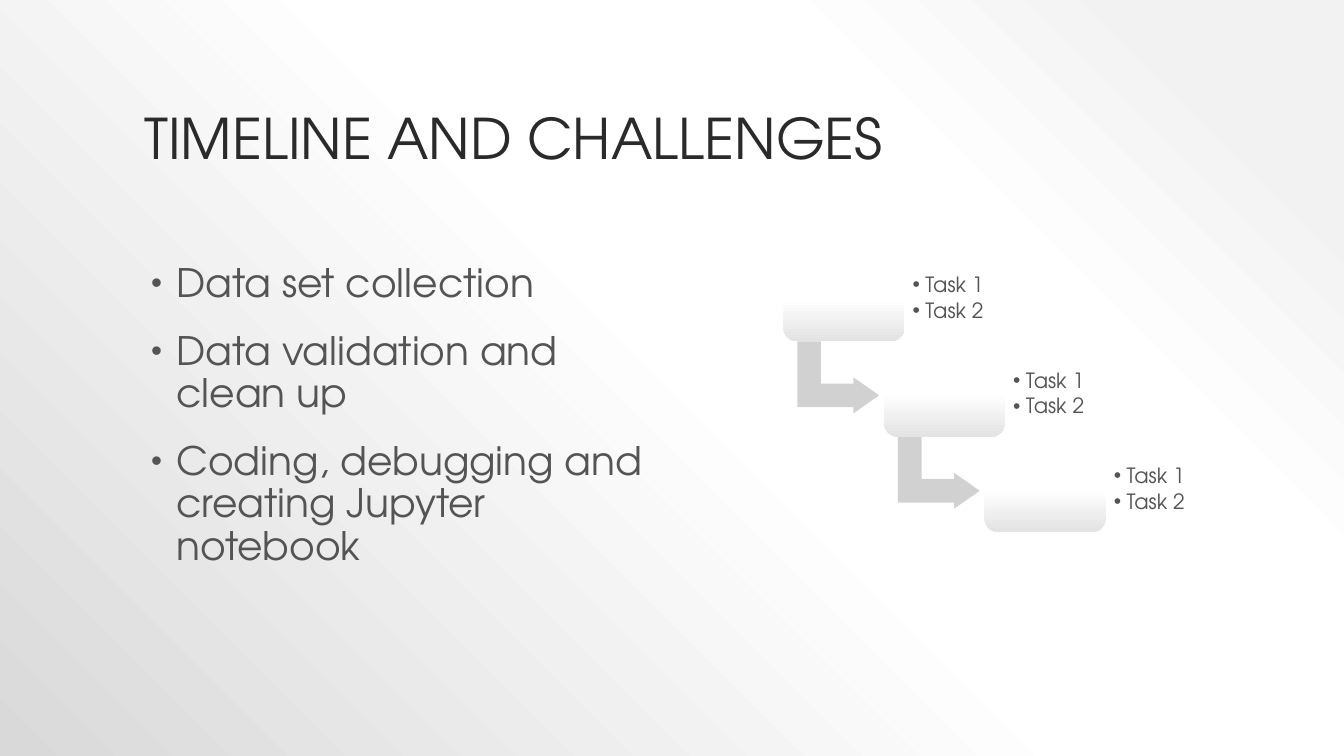
from lxml.etree import SubElement
from pptx import Presentation
from pptx.dml.color import RGBColor
from pptx.enum.shapes import MSO_SHAPE as Shape
from pptx.enum.text import MSO_ANCHOR as Anchor
from pptx.oxml import parse_xml
from pptx.oxml.ns import nsdecls, qn
from pptx.util import Cm, Pt

FONT = "TeX Gyre Adventor"
COLORS = {
    "title": "2A2A2A",
    "text": "545454",
    "arrow": "D1D1D1",
    "white": "FFFFFF",
    "mist": "F2F2F2",
    "silver": "D9D9D9",
    "card": "E3E3E3",
}
PAGE_SHADE = ('<a:path path="circle"><a:fillToRect l="100000" t="0" '
              'r="0" b="100000"/></a:path>')
CARD_SHADE = '<a:lin ang="5400000" scaled="0"/>'
STEPS = [["Task 1", "Task 2"]] * 3


def color(name):
    return RGBColor.from_string(COLORS[name])


def paint_gradient(owner, stops, shade):
    owner.fill.background()
    element = owner._element if hasattr(owner, "_element") else owner._cSld
    empty_fill = element.find(".//" + qn("a:noFill"))
    marks = "".join(
        f'<a:gs pos="{place * 1000}"><a:srgbClr val="{COLORS[name]}"/></a:gs>'
        for place, name in stops)
    gradient = parse_xml(f'<a:gradFill {nsdecls("a")} rotWithShape="1">'
                         f'<a:gsLst>{marks}</a:gsLst>{shade}</a:gradFill>')
    empty_fill.getparent().replace(empty_fill, gradient)


def write(shape, lines, size, ink="text", anchor=Anchor.TOP,
          before=0, after=0, indent=None, bullet_size=100, insets=None):
    frame = shape.text_frame
    frame.word_wrap = True
    frame.vertical_anchor = anchor
    if insets:
        (frame.margin_left, frame.margin_top,
         frame.margin_right, frame.margin_bottom) = map(Cm, insets)
    for index, line in enumerate(lines):
        para = frame.add_paragraph() if index else frame.paragraphs[0]
        para.line_spacing = 0.9
        para.space_before, para.space_after = Pt(before), Pt(after)
        span = para.add_run()
        span.text = line
        span.font.name, span.font.size = FONT, Pt(size)
        span.font.color.rgb = color(ink)
        if indent:
            add_bullet(para, indent, bullet_size)


def add_bullet(para, indent, bullet_size):
    margin, hanging = indent
    settings = para._p.get_or_add_pPr()
    settings.set("marL", str(Cm(margin)))
    settings.set("indent", str(-Cm(hanging)))
    SubElement(settings, qn("a:buSzPct"), val=str(bullet_size * 1000))
    SubElement(settings, qn("a:buFont"), typeface="Arial")
    SubElement(settings, qn("a:buChar"), char="•")


def add_plain_shape(page, kind, box, adjustments):
    shape = page.shapes.add_shape(kind, *map(Cm, box))
    shape.shadow.inherit = False
    shape.line.fill.background()
    for index, value in enumerate(adjustments):
        shape.adjustments[index] = value
    return shape


def add_title(page, box):
    title = page.shapes.add_textbox(*map(Cm, box))
    write(title, ["TIMELINE AND CHALLENGES"], 40, ink="title",
          anchor=Anchor.BOTTOM)


def add_challenges(page, box):
    challenges = page.shapes.add_textbox(*map(Cm, box))
    write(challenges,
          ["Data set collection", "Data validation and clean up",
           "Coding, debugging and creating Jupyter notebook"],
          28, before=18, indent=(0.76, 0.64), bullet_size=80)


def add_step(page, box, tasks, has_next):
    left, top, width, height = box
    if has_next:
        arrow = add_plain_shape(page, Shape.BENT_UP_ARROW,
                                (left + 0.48, top + 2.02, 1.81, 2.06),
                                (0.328, 0.25, 0.358))
        arrow.rotation = 90
        arrow.fill.solid()
        arrow.fill.fore_color.rgb = color("arrow")
    card = add_plain_shape(page, Shape.ROUNDED_RECTANGLE, box, (0.167,))
    paint_gradient(card, [(0, "white"), (50, "white"), (100, "card")],
                   CARD_SHADE)
    notes = page.shapes.add_textbox(Cm(left + width), Cm(top + 0.2),
                                    Cm(2.21), Cm(height - 0.4))
    write(notes, tasks, 15, anchor=Anchor.MIDDLE, after=2.25,
          indent=(0.32, 0.32), insets=(0.2, 0.2, 0, 0.2))


def add_timeline(page, box):
    left, top, width, height = box
    card_width, card_height, notes_width = 3.06, 2.14, 2.21
    gaps = len(STEPS) - 1
    across = (width - card_width - notes_width) / gaps
    down = (height - card_height) / gaps
    for index, tasks in enumerate(STEPS):
        add_step(page, (left + index * across, top + index * down,
                        card_width, card_height),
                 tasks, has_next=index < gaps)


def main():
    deck = Presentation()
    deck.slide_width, deck.slide_height = Cm(33.87), Cm(19.05)
    page = deck.slides.add_slide(deck.slide_layouts[6])
    paint_gradient(page.background,
                   [(10, "mist"), (28, "white"), (48, "white"),
                    (100, "silver")], PAGE_SHADE)
    add_title(page, (3.39, 0.76, 27.1, 3.68))
    add_challenges(page, (3.44, 6.53, 13.51, 10.62))
    add_timeline(page, (19.74, 6.46, 10.34, 6.95))
    deck.save("out.pptx")


if __name__ == "__main__":
    main()
